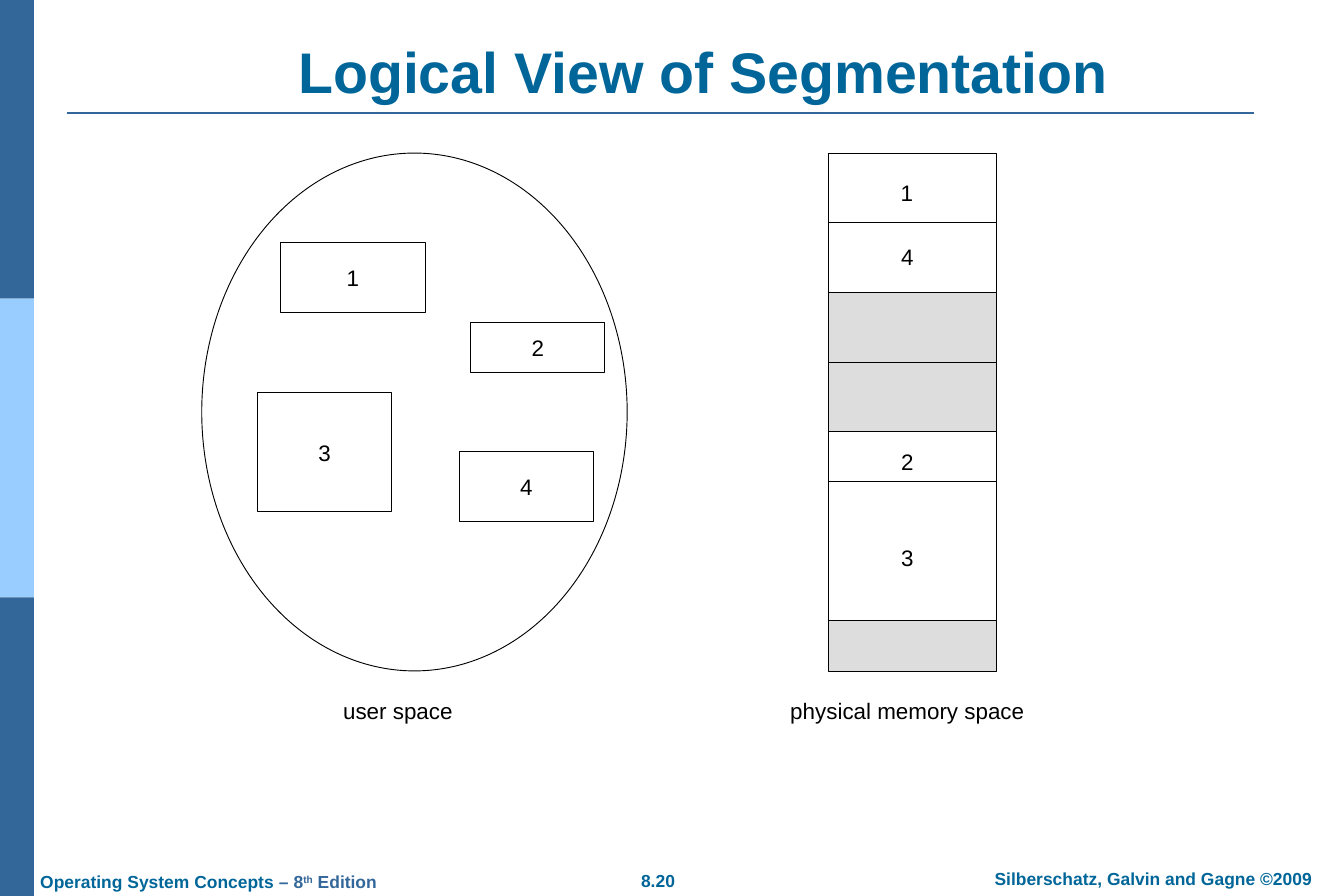
"""Build the slide on the logical view of segmentation."""
from lxml.etree import SubElement
from pptx import Presentation
from pptx.dml.color import RGBColor
from pptx.enum.shapes import MSO_CONNECTOR, MSO_SHAPE
from pptx.enum.text import MSO_ANCHOR, PP_ALIGN
from pptx.oxml.ns import qn
from pptx.util import Cm, Pt

BLACK = RGBColor(0x00, 0x00, 0x00)
WHITE = RGBColor(0xFF, 0xFF, 0xFF)
GREY = RGBColor(0xDD, 0xDD, 0xDD)
NAVY = RGBColor(0x33, 0x66, 0x99)
SKY = RGBColor(0x99, 0xCC, 0xFF)
TEAL = RGBColor(0x00, 0x66, 0x99)

deck = Presentation()
deck.slide_width, deck.slide_height = Cm(38.1), Cm(25.4)
slide = deck.slides.add_slide(deck.slide_layouts[6])
shapes = slide.shapes


def add_box(kind, place, fill, edge=BLACK):
    box = shapes.add_shape(kind, *map(Cm, place))
    box.shadow.inherit = False
    box.fill.solid()
    box.fill.fore_color.rgb = fill
    box.line.color.rgb = edge
    box.line.width = Pt(0.75)
    return box


def write(box, text, size=18, color=BLACK, bold=False, align=PP_ALIGN.CENTER):
    frame = box.text_frame
    frame.word_wrap = True
    frame.vertical_anchor = MSO_ANCHOR.MIDDLE
    frame.margin_left = frame.margin_right = 0
    frame.margin_top = frame.margin_bottom = Cm(0.18)
    para = frame.paragraphs[0]
    para.text = text
    para.alignment = align
    font = para.font
    font.name, font.size, font.bold = "Arial", Pt(size), bold
    font.color.rgb = color
    return para


side = 25.4 / 3
for row, fill in enumerate((NAVY, SKY, NAVY)):
    bar = add_box(MSO_SHAPE.RECTANGLE, (0, row * side, 0.96, side), fill)
    bar.line.fill.background()

title = shapes.add_textbox(Cm(3.68), Cm(1.02), Cm(32.5), Cm(2.13))
write(title, "Logical View of Segmentation", 46, TEAL, True)
title.text_frame.vertical_anchor = MSO_ANCHOR.BOTTOM

add_box(MSO_SHAPE.OVAL, (5.72, 4.34, 12.06, 14.68), WHITE)
for text, *place in (
    ("1", 7.94, 6.88, 4.13, 1.98),
    ("3", 7.3, 11.13, 3.81, 3.38),
    ("2", 13.34, 9.14, 3.81, 1.43),
    ("4", 13.02, 12.8, 3.81, 1.98),
):
    write(add_box(MSO_SHAPE.RECTANGLE, place, WHITE), text)

left, wide = 23.5, 4.76
cells = [
    add_box(MSO_SHAPE.RECTANGLE, (left, top, wide, tall), fill)
    for top, tall, fill in (
        (4.34, 3.96, WHITE),
        (8.29, 3.96, GREY),
        (12.24, 5.36, WHITE),
        (17.6, 1.43, GREY),
    )
]

for start, end, level, color, width, cell in (
    (1.9, 35.56, 3.2, NAVY, 1.5, None),
    (left, left + wide, 6.32, BLACK, 0.75, cells[0]),
    (left, left + wide, 10.27, BLACK, 0.75, cells[1]),
    (left, left + wide, 13.66, BLACK, 0.75, None),
):
    line = shapes.add_connector(
        MSO_CONNECTOR.STRAIGHT, Cm(start), Cm(level), Cm(end), Cm(level)
    )
    line.line.color.rgb = color
    line.line.width = Pt(width)
    SubElement(line._element.spPr, qn("a:effectLst"))
    if cell:
        line.begin_connect(cell, 1)
        line.end_connect(cell, 3)

for text, *place in (
    ("1", 25.28, 4.95, 0.86, 1.02),
    ("4", 25.29, 6.76, 0.86, 1.02),
    ("2", 25.29, 12.57, 0.86, 1.02),
    ("3", 25.29, 15.29, 0.86, 1.02),
    ("user space", 9.35, 19.58, 3.86, 1.14),
    ("physical memory space", 22, 19.58, 7.44, 1.14),
):
    write(shapes.add_textbox(*map(Cm, place)), text)

for text, align, *place in (
    ("8.20", PP_ALIGN.CENTER, 17.78, 24.49, 1.75, 0.97),
    ("Silberschatz, Galvin and Gagne ©2009", PP_ALIGN.CENTER, 27.05, 24.41, 11.3, 0.97),
    ("Operating System Concepts", PP_ALIGN.LEFT, 1.14, 24.51, 10, 0.97),
):
    foot = write(shapes.add_textbox(*map(Cm, place)), text, 14, TEAL, True, align)

for text, lift in ((" – 8", 0), ("th", 30000), (" Edition", 0)):
    run = foot.add_run()
    run.text = text
    run.font.color.rgb = NAVY
    if lift:
        run._r.get_or_add_rPr().set("baseline", str(lift))

deck.save("out.pptx")
